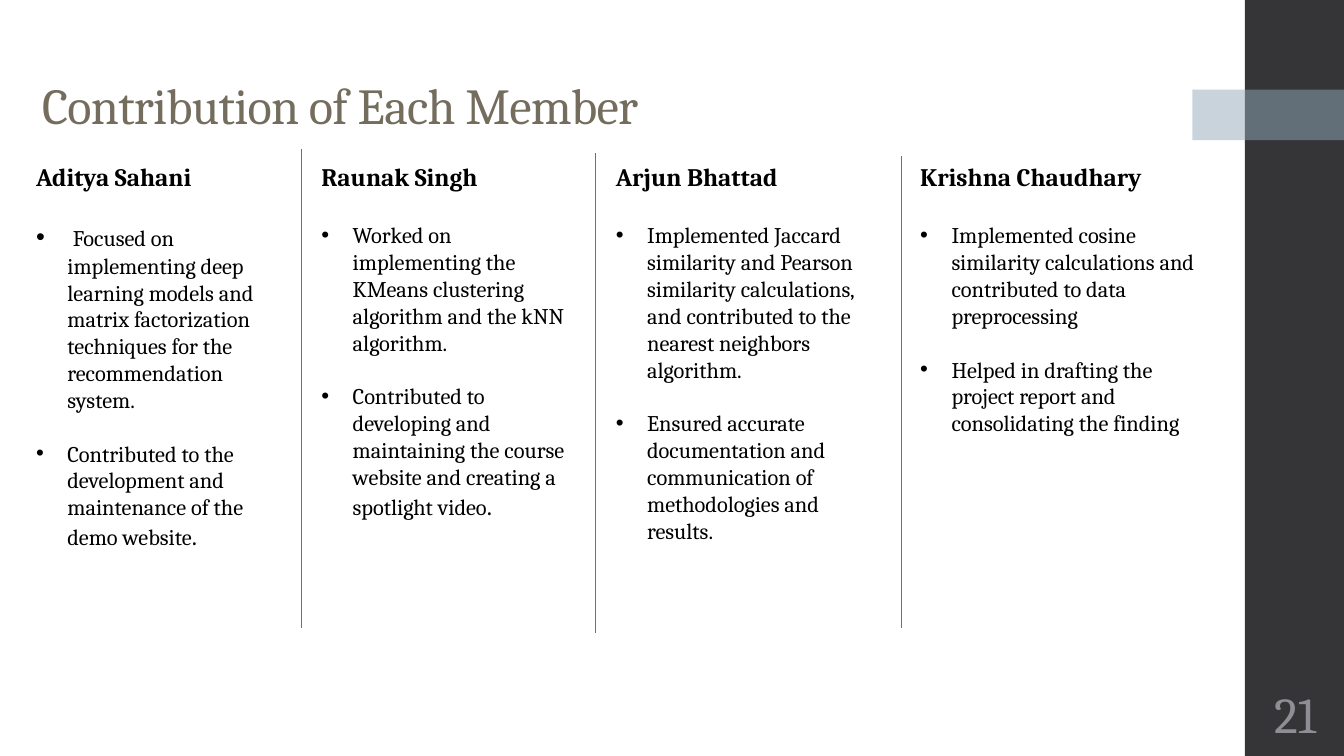
from dataclasses import dataclass

from lxml import etree
from pptx import Presentation
from pptx import util as u
from pptx.dml.color import RGBColor
from pptx.enum import shapes, text
from pptx.oxml import ns


@dataclass(frozen=True)
class Theme:
    font: str = "Cambria"
    ink: str = "000000"
    paper: str = "FFFFFF"
    title: str = "746D5D"
    band: str = "353537"
    accent: str = "92A9B9"
    number: str = "8E8E94"
    rule: str = "6F6F74"
    display: int = 36
    heading: int = 18
    body: int = 16


theme = Theme()


def add_run(p, words, size, color=theme.ink, bold=False):
    r = p.add_run()
    r.text = words
    r.font.name = theme.font
    r.font.size = u.Pt(size)
    r.font.bold = bold
    r.font.color.rgb = RGBColor.from_string(color)
    return r


def add_rect(s, box, fill, line=None):
    sp = s.shapes.add_shape(shapes.MSO_SHAPE.RECTANGLE, *map(u.Cm, box))
    sp.shadow.inherit = False
    sp.fill.solid()
    sp.fill.fore_color.rgb = RGBColor.from_string(fill)
    if line:
        sp.line.color.rgb = RGBColor.from_string(line)
        sp.line.width = u.Pt(1.1)
    else:
        sp.line.fill.background()
    return sp


prs = Presentation()
prs.slide_width, prs.slide_height = u.Cm(33.87), u.Cm(19.05)
s = prs.slides.add_slide(prs.slide_layouts[6])

# Side band and translucent accent
add_rect(s, (31.37, 0, 2.5, 19.05), theme.band)
accent = add_rect(s, (30.05, 2.26, 3.82, 1.27), theme.accent)
color = accent.fill._xPr.find(ns.qn("a:solidFill"))[0]
etree.SubElement(color, ns.qn("a:alpha"), val="50000")

# Title
title = s.shapes.add_textbox(*map(u.Cm, (0.81, 1.07, 20.96, 2.46)))
tf = title.text_frame
tf.word_wrap = True
tf.vertical_anchor = text.MSO_ANCHOR.BOTTOM
p = tf.paragraphs[0]
p.line_spacing = 0.9
r = add_run(p, "Contribution of Each Member", theme.display, theme.title)
r.font._element.set("spc", "-50")

# Page number
number = s.shapes.add_textbox(*map(u.Cm, (31.37, 17.15, 2.54, 1.65)))
tf = number.text_frame
tf.word_wrap = True
tf.vertical_anchor = text.MSO_ANCHOR.MIDDLE
tf.margin_left = tf.margin_right = tf.margin_top = tf.margin_bottom = u.Cm(0.13)
p = tf.paragraphs[0]
p.alignment = text.PP_ALIGN.CENTER
add_run(p, "21", theme.display, theme.number)

# Members: name, left, width, height, framed, bullets made of (words, size) runs
big, small = theme.heading, theme.body
members = [
    ("Aditya Sahani", 0.66, 6.55, 10.19, True, [
        [(" ", big),
         ("Focused on implementing deep learning models and matrix factorization "
          "techniques for the recommendation system.", small)],
        [("Contributed to the development and maintenance of the demo website", small),
         (".", big)]]),
    ("Raunak Singh", 7.85, 6.81, 10.08, True, [
        [("Worked on implementing the KMeans clustering algorithm and the kNN "
          "algorithm.", small)],
        [("Contributed to developing and maintaining the course website and creating "
          "a spotlight video", small), (".", big)]]),
    ("Arjun Bhattad", 15.27, 7.19, 10.01, False, [
        [("Implemented Jaccard similarity and Pearson similarity calculations, and "
          "contributed to the nearest neighbors algorithm.", small)],
        [("Ensured accurate documentation and communication of methodologies and "
          "results.", small)]]),
    ("Krishna Chaudhary", 22.94, 7.67, 7.26, False, [
        [("Implemented cosine similarity calculations and contributed to data "
          "preprocessing", small)],
        [("Helped in drafting the project report and consolidating the finding", small)]]),
]
for name, left, width, height, framed, bullets in members:
    box = (left, 3.94, width, height)
    if framed:
        sp = add_rect(s, box, theme.paper, theme.paper)
    else:
        sp = s.shapes.add_textbox(*map(u.Cm, box))
    tf = sp.text_frame
    tf.word_wrap = True
    tf.auto_size = text.MSO_AUTO_SIZE.SHAPE_TO_FIT_TEXT
    tf.vertical_anchor = text.MSO_ANCHOR.TOP
    p = tf.paragraphs[0]
    p.alignment = text.PP_ALIGN.LEFT
    add_run(p, name, theme.heading, bold=True)
    for gap, runs in zip((21.5, 19), bullets):
        p = tf.add_paragraph()
        p.alignment = text.PP_ALIGN.LEFT
        p.space_before = u.Pt(gap)
        pPr = p._p.get_or_add_pPr()
        pPr.set("marL", str(u.Cm(0.79)))
        pPr.set("indent", str(-u.Cm(0.79)))
        etree.SubElement(pPr, ns.qn("a:buFont"), typeface="Arial")
        etree.SubElement(pPr, ns.qn("a:buChar"), char="•")
        for words, size in runs:
            add_run(p, words, size)

# Column dividers
for x, top, bottom in ((7.59, 3.76, 15.82), (15.01, 3.86, 15.95), (22.71, 3.94, 15.82)):
    divider = s.shapes.add_connector(
        shapes.MSO_CONNECTOR.STRAIGHT, u.Cm(x), u.Cm(top), u.Cm(x), u.Cm(bottom))
    divider.line.color.rgb = RGBColor.from_string(theme.rule)
    divider.line.width = u.Pt(0.75)
    etree.SubElement(divider._element.spPr, ns.qn("a:effectLst"))

prs.save("out.pptx")
